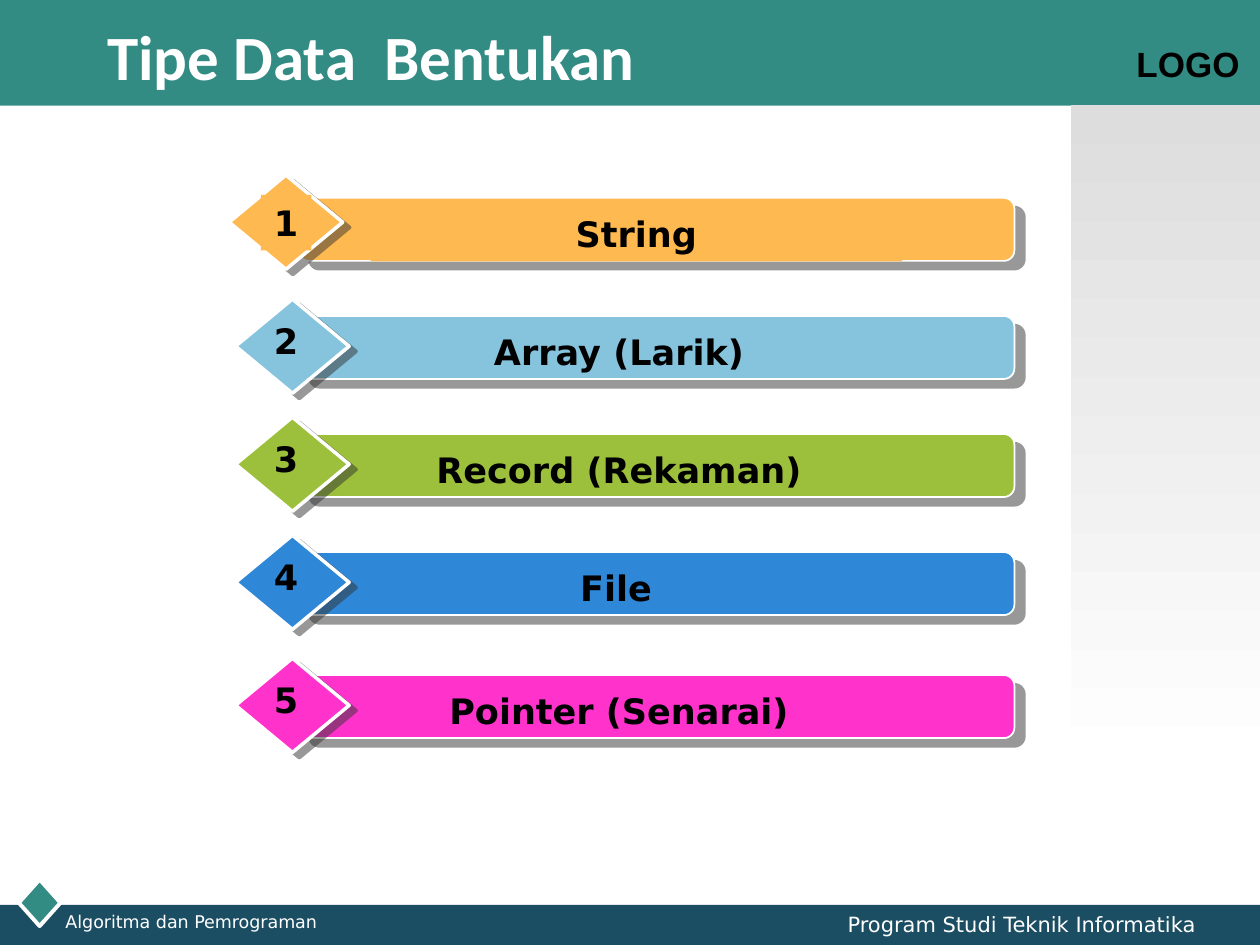
import pptx
import pptx.util
import pptx.dml.color
import pptx.enum.shapes
import pptx.enum.text
import pptx.oxml
import pptx.oxml.ns

Cm, Pt = pptx.util.Cm, pptx.util.Pt
RGB = pptx.dml.color.RGBColor.from_string
KIND = pptx.enum.shapes.MSO_SHAPE
ALIGN = pptx.enum.text.PP_ALIGN
FIT = pptx.enum.text.MSO_AUTO_SIZE

COLS = {"teal": "328C83", "navy": "1B4E63", "white": "FFFFFF", "black": "000000",
        "gray": "DDDDDD", "shade": "333333", "gold": "FFB951", "sky": "86C4DE",
        "green": "9DC03C", "blue": "2F87D7", "pink": "FF33CC"}


def block(home, kind, box, fill, edge=0, cast=None):
    """Add a filled shape; cast is the distance (pt) and angle of its shadow."""
    shape = home.add_shape(kind, *map(Cm, box))
    shape.shadow.inherit = False
    shape.fill.solid()
    shape.fill.fore_color.rgb = RGB(COLS[fill])
    if edge:
        shape.line.color.rgb = RGB(COLS["white"])
        shape.line.width = Pt(edge)
    else:
        shape.line.fill.background()
    if cast:
        dist, turn = cast
        glow = shape.element.spPr.find(pptx.oxml.ns.qn("a:effectLst"))
        glow.append(pptx.oxml.parse_xml(
            f'<a:outerShdw {pptx.oxml.ns.nsdecls("a")} blurRad="0" dist="{Pt(dist)}" '
            f'dir="{turn * 60000}" algn="ctr" rotWithShape="0">'
            f'<a:srgbClr val="{COLS["shade"]}"><a:alpha val="50000"/></a:srgbClr>'
            '</a:outerShdw>'))
    return shape


def write(shape, text, size, tint, bold=False, face="DejaVu Sans",
          align=ALIGN.LEFT, wrap=True, fit=FIT.NONE):
    """Fill the shape's frame with one formatted line."""
    frame = shape.text_frame
    frame.text = text
    frame.word_wrap, frame.auto_size = wrap, fit
    line = frame.paragraphs[0]
    line.alignment = align
    font = line.runs[0].font
    for key, val in {"name": face, "size": Pt(size), "bold": bold}.items():
        setattr(font, key, val)
    font.color.rgb = RGB(COLS[tint])


deck = pptx.Presentation()
deck.slide_width, deck.slide_height = Cm(25.4), Cm(19.05)
slide = deck.slides.add_slide(deck.slide_layouts[5])
parts = slide.shapes
title = parts.title

# Bands, corner diamond and side panel
block(parts, KIND.RECTANGLE, (0, 0, 25.4, 2.13), "teal")
block(parts, KIND.RECTANGLE, (0, 18.24, 25.4, 0.81), "navy")
block(parts, KIND.DIAMOND, (0.38, 17.73, 0.84, 0.94), "teal", 2.25)
panel = block(parts, KIND.RECTANGLE, (21.59, 2.11, 3.81, 13.34), "gray")
panel.fill.gradient()
panel.fill.gradient_angle = 270
for stop, tint, spot in zip(panel.fill.gradient_stops, ("gray", "white"), (0, 1)):
    stop.color.rgb = RGB(COLS[tint])
    stop.position = spot

# Corner mark and footer
mark = parts.add_textbox(Cm(22.66), Cm(0.74), Cm(2.74), Cm(1.12))
write(mark, "LOGO", 20, "black", True, "Arial")
foot = parts.add_textbox(Cm(1.07), Cm(18.24), Cm(6.78), Cm(0.58))
write(foot, "Algoritma dan Pemrograman", 10, "white")
foot = parts.add_textbox(Cm(14.3), Cm(18.26), Cm(10.06), Cm(0.61))
write(foot, "Program Studi Teknik Informatika", 12, "white", align=ALIGN.RIGHT)

# Title, raised above the top band
spots = {"left": 1.91, "top": 0.33, "width": 20.19, "height": 1.57}
for key, val in spots.items():
    setattr(title, key, Cm(val))
write(title, "Tipe Data  Bentukan", 36, "white", True, "Calibri")
title.text_frame.vertical_anchor = pptx.enum.text.MSO_ANCHOR.MIDDLE
title.element.getparent().append(title.element)

# Numbered bars: text, colour, bar top, label left and width
rows = [("String", "gold", 3.99, 7.47, 10.72),
        ("Array (Larik)", "sky", 6.37, 6.78, 11.4),
        ("Record (Rekaman)", "green", 8.75, 6.78, 11.4),
        ("File", "blue", 11.13, 6.78, 11.28),
        ("Pointer (Senarai)", "pink", 13.61, 6.78, 11.4)]
for num, (text, tint, top, left, width) in enumerate(rows, 1):
    first = num == 1
    group = parts.add_group_shape().shapes
    block(group, KIND.ROUNDED_RECTANGLE, (6.02, top, 14.43, 1.27), tint, 1, (7.8, 40))
    gem = (4.62, top - 0.46) if first else (4.75, top - 0.34)
    block(group, KIND.DIAMOND, (*gem, 2.29, 1.9), tint, 2, (5, 37))
    label = group.add_textbox(Cm(left), Cm(top + 0.16), Cm(width), Cm(1.12))
    digit = group.add_textbox(Cm(5.26), Cm(top - 0.06), Cm(1.02), Cm(1.12))
    for box, words, wrap in ((label, text, True), (digit, str(num), False)):
        write(box, words, 20, "black", True, align=ALIGN.CENTER, wrap=wrap,
              fit=FIT.SHAPE_TO_FIT_TEXT)
        if first:
            box.fill.solid()
            box.fill.fore_color.rgb = RGB(COLS[tint])

deck.save("out.pptx")
